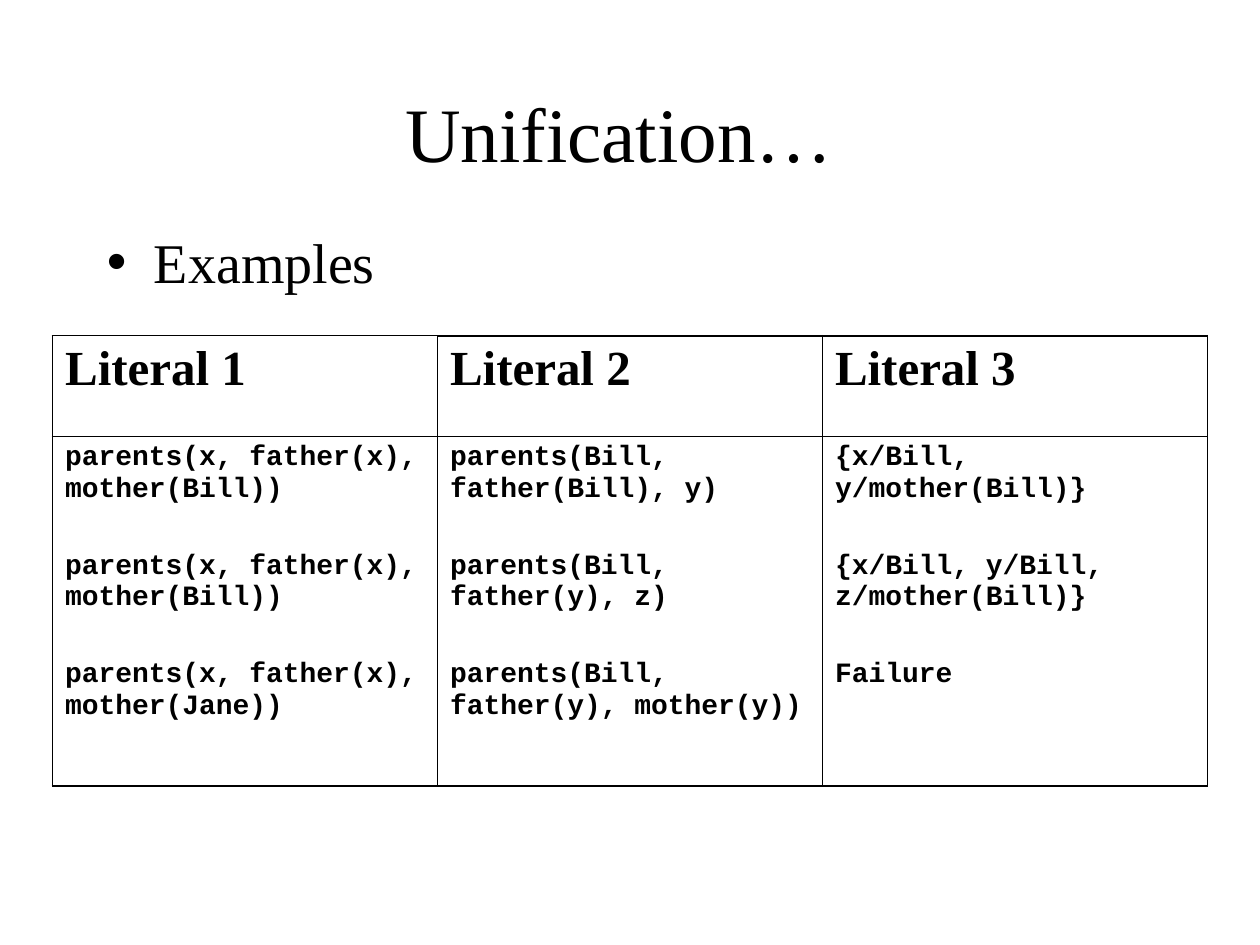
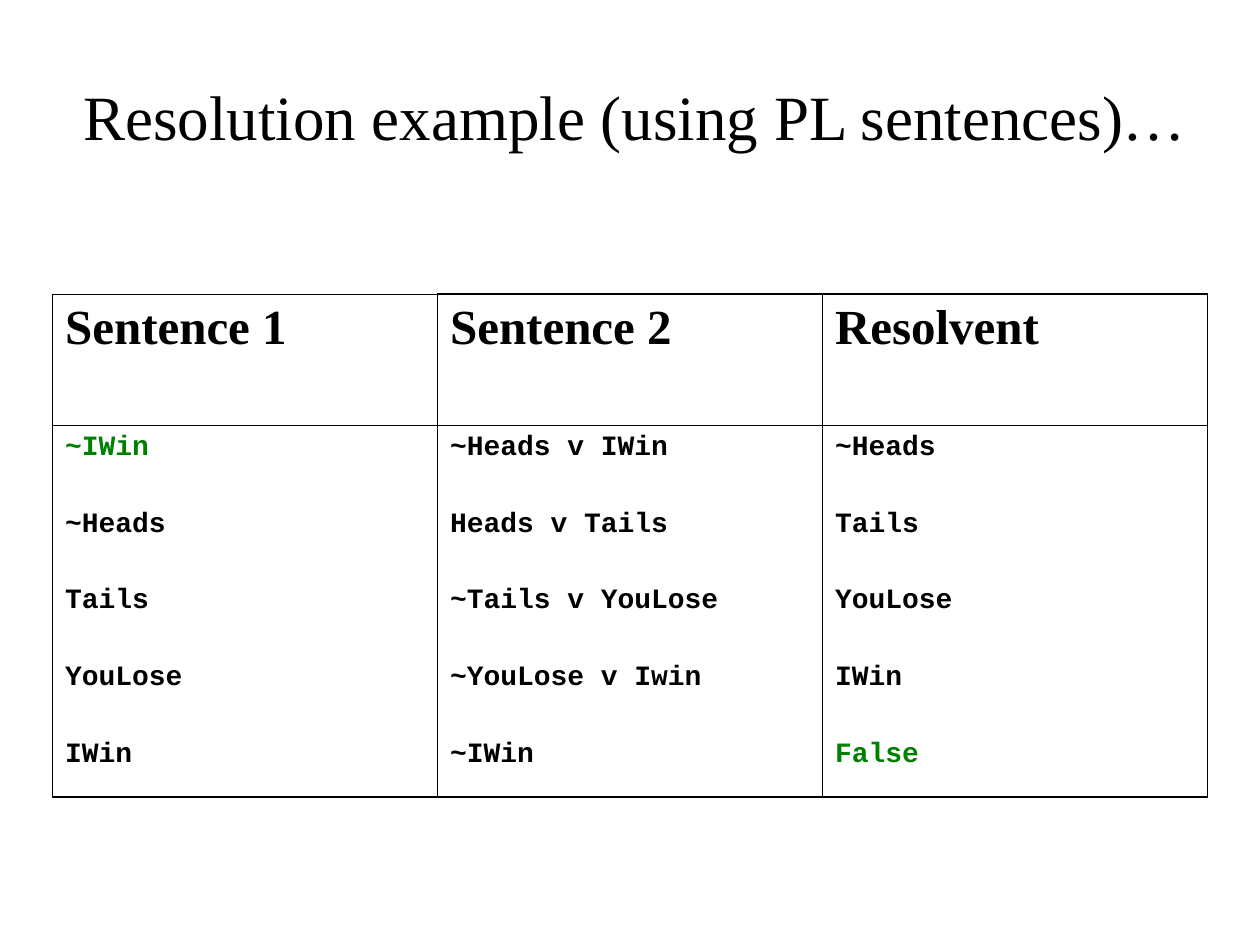
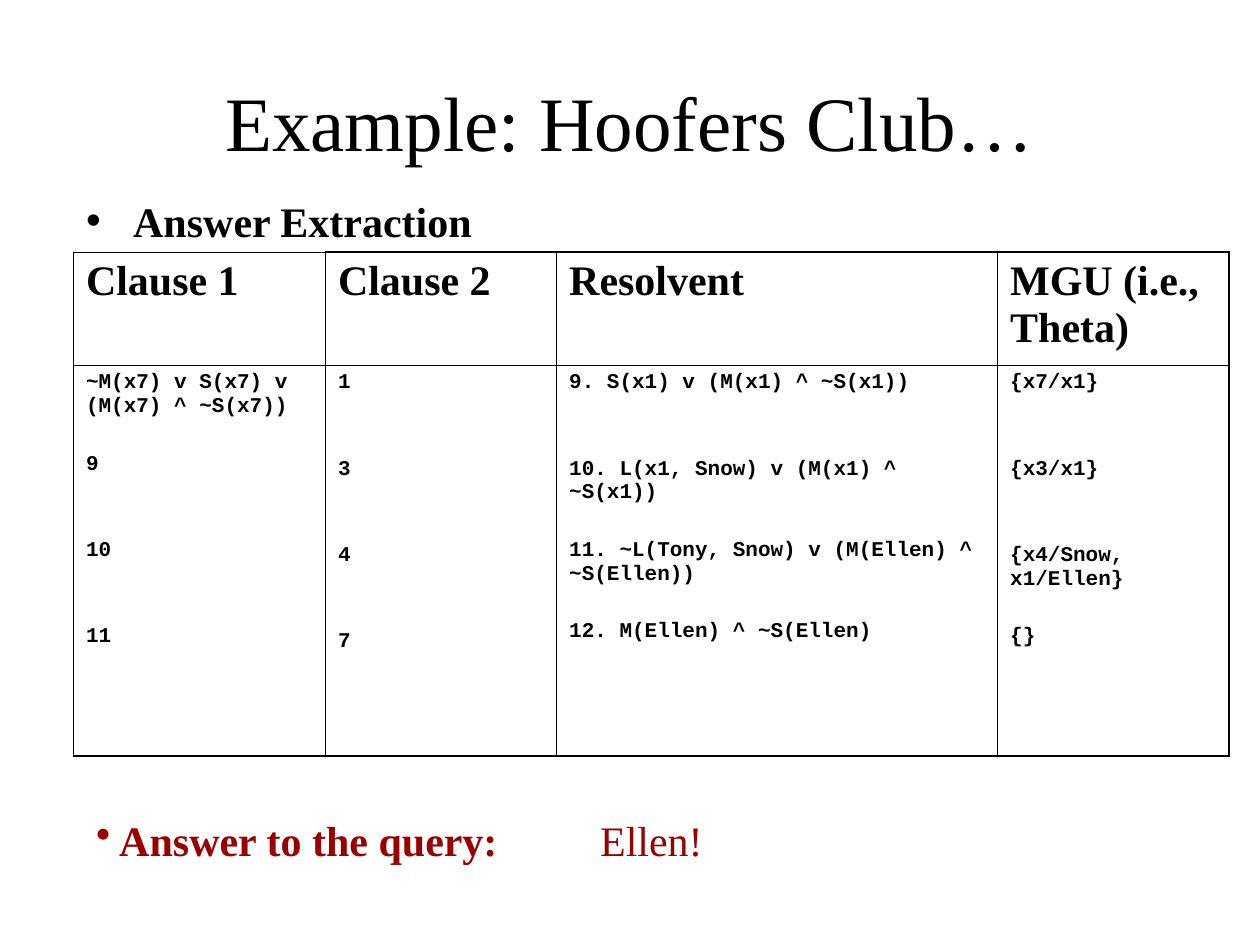
from lxml import etree
from pptx import Presentation
from pptx.dml.color import RGBColor
from pptx.enum.text import MSO_ANCHOR, MSO_AUTO_SIZE, PP_ALIGN
from pptx.oxml.ns import qn
from pptx.util import Cm, Pt

BLACK = RGBColor(0x00, 0x00, 0x00)
GREEN = RGBColor(0x00, 0x80, 0x00)
RED = RGBColor(0x99, 0x00, 0x00)

SERIF = "Times New Roman"
MONO = "Courier New"
MIDDLE, TOP = MSO_ANCHOR.MIDDLE, MSO_ANCHOR.TOP
CENTER = PP_ALIGN.CENTER
NO_FIT, GROW = MSO_AUTO_SIZE.NONE, MSO_AUTO_SIZE.SHAPE_TO_FIT_TEXT

TITLE_AND_BODY, TITLE_ONLY = 1, 5
THICK, THIN = Pt(1.08), Pt(0.45)
SPACE_RATIO = 0.24
SKIPPED_LINE_RATIO = 1.37


class Deck:
    def __init__(self):
        self.prs = Presentation()
        self.prs.slide_width = Cm(25.4)
        self.prs.slide_height = Cm(19.05)
        self.s = None

    def slide(self, layout):
        self.s = self.prs.slides.add_slide(self.prs.slide_layouts[layout])

    def place(self, sp, box):
        sp.left, sp.top, sp.width, sp.height = (Cm(v) for v in box)
        tf = sp.text_frame
        tf.auto_size = NO_FIT
        tf.word_wrap = True
        return tf

    def run(self, p, text, size, font=SERIF, color=BLACK, bold=False):
        r = p.add_run()
        r.text = text
        r.font.name = font
        r.font.size = Pt(size)
        r.font.bold = bold
        r.font.color.rgb = color

    def bullet(self, p, color, indent=0, tab=None):
        pPr = p._p.get_or_add_pPr()
        pPr.set("marL", str(Cm(indent)))
        pPr.set("indent", str(-Cm(indent)))
        clr = etree.SubElement(pPr, qn("a:buClr"))
        etree.SubElement(clr, qn("a:srgbClr"), val=str(color))
        etree.SubElement(pPr, qn("a:buChar"), char="•")
        if tab:
            tabs = etree.SubElement(pPr, qn("a:tabLst"))
            etree.SubElement(tabs, qn("a:tab"), pos=str(Cm(tab)), algn="l")

    def title(self, text, box, size=44):
        tf = self.place(self.s.shapes.title, box)
        tf.vertical_anchor = MIDDLE
        p = tf.paragraphs[0]
        p.alignment = CENTER
        self.run(p, text, size)

    def body(self, text, box, size, bold=False):
        tf = self.place(self.s.placeholders[1], box)
        tf.vertical_anchor = TOP
        p = tf.paragraphs[0]
        p.space_before = Pt(size / 4)
        self.bullet(p, BLACK, indent=0.95)
        self.run(p, text, size, bold=bold)

    def answer(self, label, value, box):
        sp = self.s.shapes.add_textbox(*(Cm(v) for v in box))
        tf = sp.text_frame
        tf.word_wrap = False
        tf.auto_size = GROW
        p = tf.paragraphs[0]
        self.bullet(p, RED, tab=10.16)
        self.run(p, label, 24, color=RED, bold=True)
        self.run(p, value, 24, color=RED)

    def borders(self, cell, row, col, last_col):
        tcPr = cell._tc.get_or_add_tcPr()
        outer = {"L": col == 0, "R": col == last_col,
                 "T": row == 0 and col > 0, "B": row == 1}
        for side, is_outer in outer.items():
            ln = etree.SubElement(tcPr, qn("a:ln" + side),
                                  w=str(THICK if is_outer else THIN))
            fill = etree.SubElement(ln, qn("a:solidFill"))
            etree.SubElement(fill, qn("a:srgbClr"), val=str(BLACK))
        cell.fill.background()

    def lines(self, cell, entries, size, font):
        tf = cell.text_frame
        for i, (text, skipped, color) in enumerate(entries):
            p = tf.add_paragraph() if i else tf.paragraphs[0]
            p.space_before = Pt(size * (SPACE_RATIO + skipped * SKIPPED_LINE_RATIO))
            self.run(p, text, size, font, color, bold=True)

    def table(self, left, top, widths, heights, columns, head_size, body_size):
        frame = self.s.shapes.add_table(2, len(columns), Cm(left), Cm(top),
                                        Cm(sum(widths)), Cm(sum(heights)))
        tbl = frame.table
        tbl.first_row = tbl.horz_banding = False
        for row, height in zip(tbl.rows, heights):
            row.height = Cm(height)
        for c, (head, entries) in enumerate(columns):
            tbl.columns[c].width = Cm(widths[c])
            for r in range(2):
                self.borders(tbl.cell(r, c), r, c, len(columns) - 1)
            self.lines(tbl.cell(0, c), [(head, 0, BLACK)], head_size, SERIF)
            self.lines(tbl.cell(1, c), entries, body_size, MONO)


def spaced(texts, skips=None, green=None):
    skips = skips or [1] * (len(texts) - 1)
    return [(text, skip, GREEN if i == green else BLACK)
            for i, (text, skip) in enumerate(zip(texts, [0, *skips]))]


def unification(deck):
    deck.slide(TITLE_AND_BODY)
    deck.title("Unification…", (1.69, 1.06, 21.59, 3.18))
    deck.body("Examples", (1.9, 4.45, 21.59, 1.9), 32)
    deck.table(1.06, 6.77, [7.76] * 3, [2.02, 7.05], [
        ("Literal 1", spaced(["parents(x, father(x), mother(Bill))",
                              "parents(x, father(x), mother(Bill))",
                              "parents(x, father(x), mother(Jane))"])),
        ("Literal 2", spaced(["parents(Bill, father(Bill), y)",
                              "parents(Bill, father(y), z)",
                              "parents(Bill, father(y), mother(y))"])),
        ("Literal 3", spaced(["{x/Bill, y/mother(Bill)}",
                              "{x/Bill, y/Bill, z/mother(Bill)}",
                              "Failure"])),
    ], 28, 16)


def resolution(deck):
    deck.slide(TITLE_ONLY)
    deck.title("Resolution example (using PL sentences)…",
               (0.42, 1.27, 24.77, 2.12), 36)
    deck.table(1.06, 5.93, [7.76] * 3, [2.65, 7.48], [
        ("Sentence 1", spaced(["~IWin", "~Heads", "Tails", "YouLose", "IWin"],
                              green=0)),
        ("Sentence 2", spaced(["~Heads v IWin", "Heads v Tails",
                               "~Tails v YouLose", "~YouLose v Iwin", "~IWin"])),
        ("Resolvent", spaced(["~Heads", "Tails", "YouLose", "IWin", "False"],
                             green=4)),
    ], 28, 16)


def hoofers_club(deck):
    deck.slide(TITLE_AND_BODY)
    deck.title("Example: Hoofers Club…", (1.9, 0.85, 21.59, 3.18))
    deck.body("Answer Extraction", (1.48, 3.81, 21.59, 1.9), 24, bold=True)
    deck.table(1.48, 5.08, [5.08, 4.66, 8.89, 4.66], [2.28, 7.88], [
        ("Clause 1", spaced(["~M(x7) v S(x7) v (M(x7) ^ ~S(x7))", "9", "10", "11"],
                            [1, 2, 2])),
        ("Clause 2", spaced(["1", "3", "4", "7"], [2, 2, 2])),
        ("Resolvent", spaced(["9. S(x1) v (M(x1) ^ ~S(x1))",
                              "10. L(x1, Snow) v (M(x1) ^ ~S(x1))",
                              "11. ~L(Tony, Snow) v (M(Ellen) ^ ~S(Ellen))",
                              "12. M(Ellen) ^ ~S(Ellen)"], [2, 1, 1])),
        ("MGU (i.e., Theta)", spaced(["{x7/x1}", "{x3/x1}",
                                      "{x4/Snow, x1/Ellen}", "{}"], [2, 2, 1])),
    ], 24, 12)
    deck.answer(" Answer to the query: \t", "Ellen!", (1.69, 16.3, 12.73, 1.27))


def main():
    deck = Deck()
    unification(deck)
    resolution(deck)
    hoofers_club(deck)
    deck.prs.save("out.pptx")


if __name__ == "__main__":
    main()
